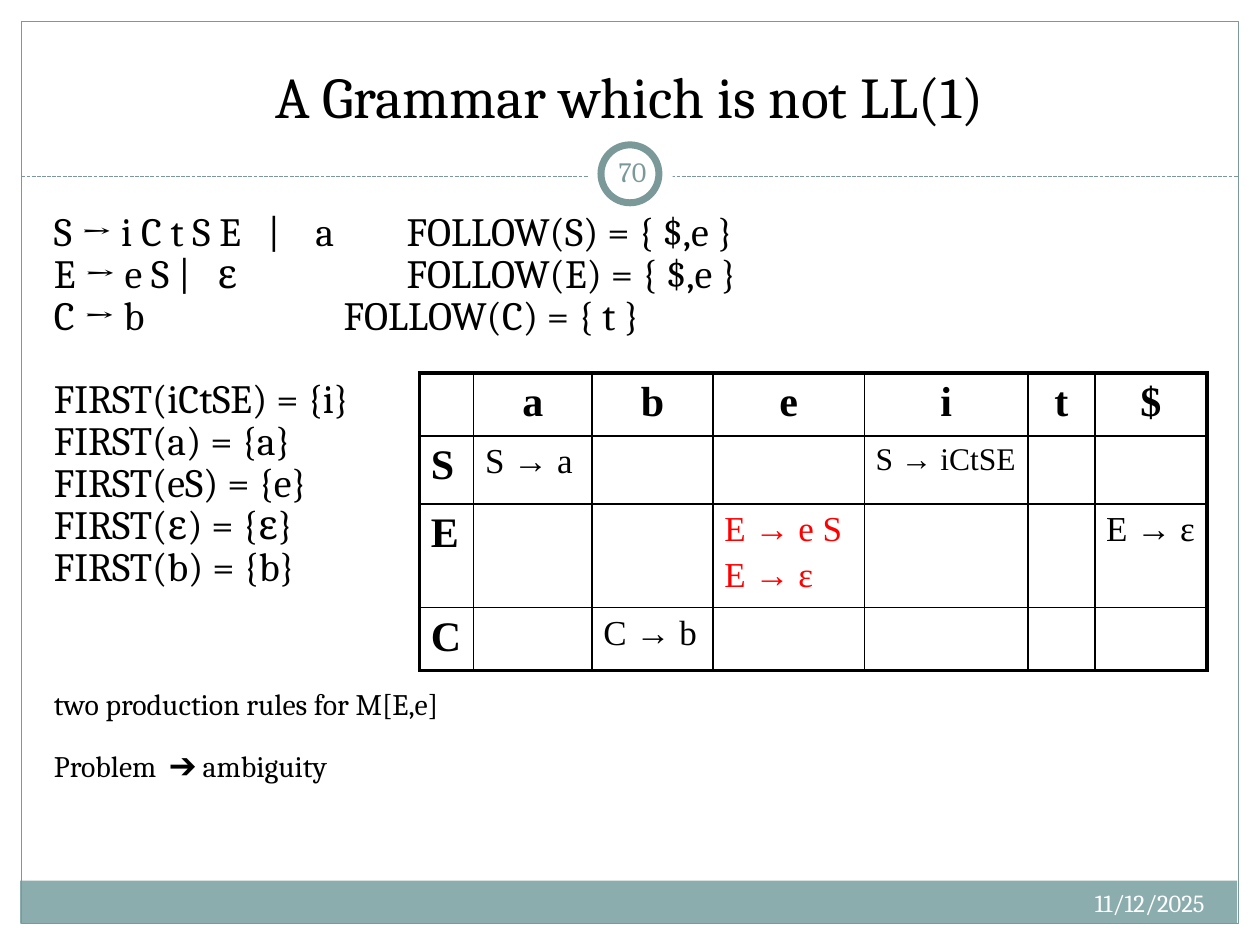
from pptx import Presentation
from pptx.util import Inches, Pt
from pptx.dml.color import RGBColor
from pptx.enum.dml import MSO_LINE
from pptx.enum.shapes import MSO_SHAPE, MSO_CONNECTOR
from pptx.enum.text import PP_ALIGN, MSO_ANCHOR
from pptx.oxml.ns import qn
from lxml.etree import SubElement


def tint(code):
    return RGBColor.from_string(code)


def write(frame, lines, size, color="000000", face="Cambria", bold=False, **form):
    for num, line in enumerate(lines):
        para = frame.paragraphs[0] if num == 0 else frame.add_paragraph()
        for key, val in form.items():
            setattr(para, key, val)
        run = para.add_run()
        run.text = line
        look = {"name": face, "size": Pt(size), "bold": bold}
        for key, val in look.items():
            setattr(run.font, key, val)
        run.font.color.rgb = tint(color)


deck = Presentation()
deck.slide_width, deck.slide_height = Inches(10), Inches(7.5)
slide = deck.slides.add_slide(deck.slide_layouts[6])
shapes = slide.shapes
teal = "7C999A"

rule = shapes.add_connector(MSO_CONNECTOR.STRAIGHT, Inches(0.17), Inches(1.4), Inches(9.83), Inches(1.4))
rule.line.color.rgb = tint(teal)
rule.line.width = Pt(0.75)
rule.line.dash_style = MSO_LINE.SQUARE_DOT
SubElement(rule._element.spPr, qn("a:effectLst"))

parts = [
    (MSO_SHAPE.RECTANGLE, (0.16, 6.99, 9.66, 0.34), "8CADAE", 0),
    (MSO_SHAPE.RECTANGLE, (0.17, 0.17, 9.66, 7.16), None, 0.75),
    (MSO_SHAPE.OVAL, (4.67, 1.05, 0.67, 0.67), "FFFFFF", 0),
    (MSO_SHAPE.OVAL, (4.77, 1.15, 0.46, 0.46), "FFFFFF", 4),
]
for kind, box, fill, width in parts:
    shape = shapes.add_shape(kind, *map(Inches, box))
    shape.shadow.inherit = False
    if fill:
        shape.fill.solid()
        shape.fill.fore_color.rgb = tint(fill)
    else:
        shape.fill.background()
    if width:
        shape.line.color.rgb = tint(teal)
        shape.line.width = Pt(width)
    else:
        shape.line.fill.background()

mid = {"alignment": PP_ALIGN.CENTER}
right = {"alignment": PP_ALIGN.RIGHT}
tight = {"line_spacing": Pt(24)}
loose = {"line_spacing": Pt(18), "space_before": Pt(17.4)}
rules = [
    "S → i C t S E   |    a\t\tFOLLOW(S) = { $,e }",
    "E → e S |   ε\t\t\tFOLLOW(E) = { $,e }",
    "C → b\t\t\t\tFOLLOW(C) = { t }",
]
firsts = [
    "FIRST(iCtSE) = {i}",
    "FIRST(a) = {a}",
    "FIRST(eS) = {e}",
    "FIRST(ε) = {ε}",
    "FIRST(b) = {b}",
]
notes = ["two production rules for M[E,e]", "Problem  ➔ ambiguity"]
top, center, base = MSO_ANCHOR.TOP, MSO_ANCHOR.MIDDLE, MSO_ANCHOR.BOTTOM
texts = [
    ((0.33, 0.25, 9.33, 0.83), base, ["A Grammar which is not LL(1)"], 33, "000000", mid),
    ((6.33, 7, 3.33, 0.4), top, ["11/12/2025"], 14, "FFFFFF", right),
    ((4.77, 1.12, 0.5, 0.48), center, ["70"], 16, teal, mid),
    ((0.33, 1.64, 9.3, 1.1), top, rules, 22.9, "000000", tight),
    ((0.33, 2.96, 2.9, 1.77), top, firsts, 22.9, "000000", tight),
    ((0.33, 5.43, 9.3, 0.85), top, notes, 17, "000000", loose),
]
for box, anchor, lines, size, color, form in texts:
    frame = shapes.add_textbox(*map(Inches, box)).text_frame
    frame.word_wrap = True
    frame.vertical_anchor = anchor
    if lines == ["70"]:
        frame.margin_left = frame.margin_right = Inches(0.05)
    write(frame, lines, size, color, **form)
    if lines is rules:
        for para in frame.paragraphs:
            props = para._p.get_or_add_pPr()
            props.set("marL", str(Inches(0.3)))
            props.set("indent", str(-Inches(0.3)))

widths = [0.43, 0.94, 0.96, 1.2, 1.3, 0.53, 0.89]
heights = [0.47, 0.54, 0.78, 0.46]
heads, names = "abei t$".replace(" ", ""), "SEC"
moves = {
    (1, 1): (["S → a"], 20, "000000"),
    (1, 4): (["S → iCtSE"], 18, "000000"),
    (2, 3): (["E → e S", "E → ε"], 20, "FF0000"),
    (2, 6): (["E → ε"], 20, "000000"),
    (3, 2): (["C → b"], 20, "000000"),
}
table = shapes.add_table(
    4, 7, Inches(3.33), Inches(2.96), Inches(sum(widths)), Inches(sum(heights))
).table
table.first_row = table.horz_banding = False
for col, width in zip(table.columns, widths):
    col.width = Inches(width)
for row, height in zip(table.rows, heights):
    row.height = Inches(height)
for r in range(4):
    for c in range(7):
        cell = table.cell(r, c)
        cell.margin_left = cell.margin_right = Inches(0.09)
        cell.margin_top = cell.margin_bottom = Inches(0.05)
        props = cell._tc.get_or_add_tcPr()
        edges = {"L": c == 0, "R": c == 6, "T": r == 0, "B": r == 3}
        for side, outer in edges.items():
            line = SubElement(props, qn("a:ln" + side), w=str(Pt(2.25 if outer else 1)))
            SubElement(SubElement(line, qn("a:solidFill")), qn("a:srgbClr"), val="000000")
        cell.fill.background()
        face = "Times New Roman"
        if r == 0 and c:
            write(cell.text_frame, [heads[c - 1]], 24, face=face, bold=True, **mid)
        elif c == 0 and r:
            write(cell.text_frame, [names[r - 1]], 24, face=face, bold=True)
        elif (r, c) in moves:
            lines, size, color = moves[r, c]
            write(cell.text_frame, lines, size, color, face, space_before=Pt(size * 0.2))

deck.save("out.pptx")
